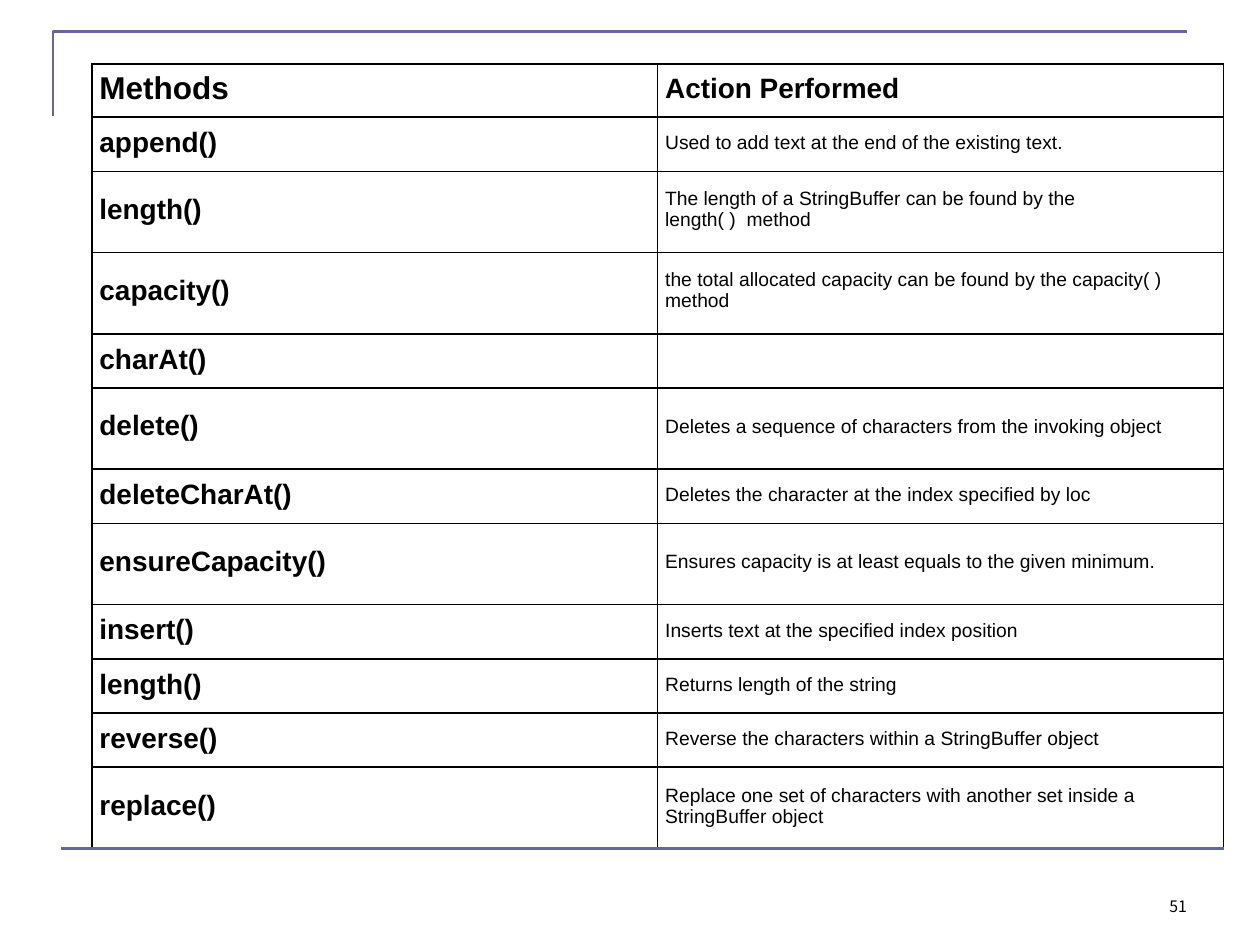
from pptx import Presentation
from pptx.dml.color import RGBColor
from pptx.enum.text import MSO_ANCHOR
from pptx.oxml import parse_xml
from pptx.oxml.ns import nsdecls
from pptx.util import Inches, Pt

BLACK, VIOLET = "000000", "666699"
SHORT = 0.43
TALL = 1.5 * SHORT


def write(tf, text, size, font="Arial", color=BLACK, bold=False, spacing=None):
    p = tf.paragraphs[0]
    p.line_spacing = spacing
    r = p.add_run()
    r.text = text
    r.font.name, r.font.size, r.font.bold = font, Pt(size), bold
    r.font.color.rgb = RGBColor.from_string(color)


def border(cell, sides, color=BLACK, width=1):
    for side in sides:
        cell._tc.get_or_add_tcPr().append(parse_xml(
            f'<a:ln{side} {nsdecls("a")} w="{Pt(width)}"><a:solidFill>'
            f'<a:srgbClr val="{color}"/></a:solidFill></a:ln{side}>'))


prs = Presentation()
prs.slide_width, prs.slide_height = Inches(10), Inches(7.5)
slide = prs.slides.add_slide(prs.slide_layouts[6])

# Corner line at the top left
fb = slide.shapes.build_freeform(Inches(0.42), Inches(0.92))
fb.add_line_segments([(Inches(0.42), Inches(0.25)),
                      (Inches(9.42), Inches(0.25))], close=False)
s = fb.convert_to_shape()
s.shadow.inherit = False
s.fill.background()
s.line.color.rgb = RGBColor.from_string(VIOLET)
s.line.width = Pt(1.5)

# Rows: method, action, height, top inset of each text
rows = [
    ("Methods", "Action Performed", 0.42, 0.05, 0.07),
    ("append()", "Used to add text at the end of the existing text.", SHORT, 0.08, 0.12),
    ("length()", "The length of a StringBuffer can be found by the length( )  method",
     TALL, 0.18, 0.13),
    ("capacity()", "the total allocated capacity can be found by the capacity( )  method",
     TALL, 0.18, 0.13),
    ("charAt()", "", SHORT, 0.08, 0.12),
    ("delete()", "Deletes a sequence of characters from the invoking object",
     TALL, 0.18, 0.22),
    ("deleteCharAt()", "Deletes the character at the index specified by loc",
     SHORT, 0.08, 0.12),
    ("ensureCapacity()", "Ensures capacity is at least equals to the given minimum.",
     TALL, 0.18, 0.22),
    ("insert()", "Inserts text at the specified index position", SHORT, 0.08, 0.12),
    ("length()", "Returns length of the string", SHORT, 0.08, 0.12),
    ("reverse()", "Reverse the characters within a StringBuffer object",
     SHORT, 0.08, 0.12),
    ("replace()", "Replace one set of characters with another set inside a  StringBuffer object",
     TALL, 0.18, 0.14),
]
last = len(rows) - 1

# Table with a narrow merged column on the left
table = slide.shapes.add_table(len(rows), 3, Inches(0.49), Inches(0.51), Inches(9.15),
                               Inches(sum(row[2] for row in rows))).table
table.first_row = table.horz_banding = False
for col, width in zip(table.columns, (0.17, 4.49, 4.49)):
    col.width = Inches(width)
table.cell(0, 0).merge(table.cell(last, 0))

for i, (method, action, height, *insets) in enumerate(rows):
    table.rows[i].height = Inches(height)
    for j, text in enumerate(("", method, action)):
        cell = table.cell(i, j)
        border(cell, "R" if j == 0 else "LRT")
        if i == last or j == 0:
            border(cell, "B", VIOLET, 1.5)
        else:
            border(cell, "B")
        cell.fill.background()
        if text:
            cell.vertical_anchor = MSO_ANCHOR.TOP
            cell.margin_left, cell.margin_top = Inches(0.06), Inches(insets[j - 1])
            cell.margin_right = cell.margin_bottom = 0
            size = 18 if text == "Methods" else 16 if i == 0 or j == 1 else 11
            write(cell.text_frame, text, size, bold=size > 11)

# Keep "length( )  method" and "method" on their second lines
table.cell(2, 2).margin_right = Inches(0.8)
table.cell(3, 2).margin_right = Inches(0.2)

# Slide number
tf = slide.shapes.add_textbox(Inches(9.24), Inches(7.12), Inches(0.2), Inches(0.17)).text_frame
tf.word_wrap = True
tf.margin_left = Inches(0.04)
tf.margin_top = tf.margin_right = tf.margin_bottom = 0
write(tf, "51", 9, font="Noto Sans CJK TC", spacing=Pt(10.6))

prs.save("out.pptx")
